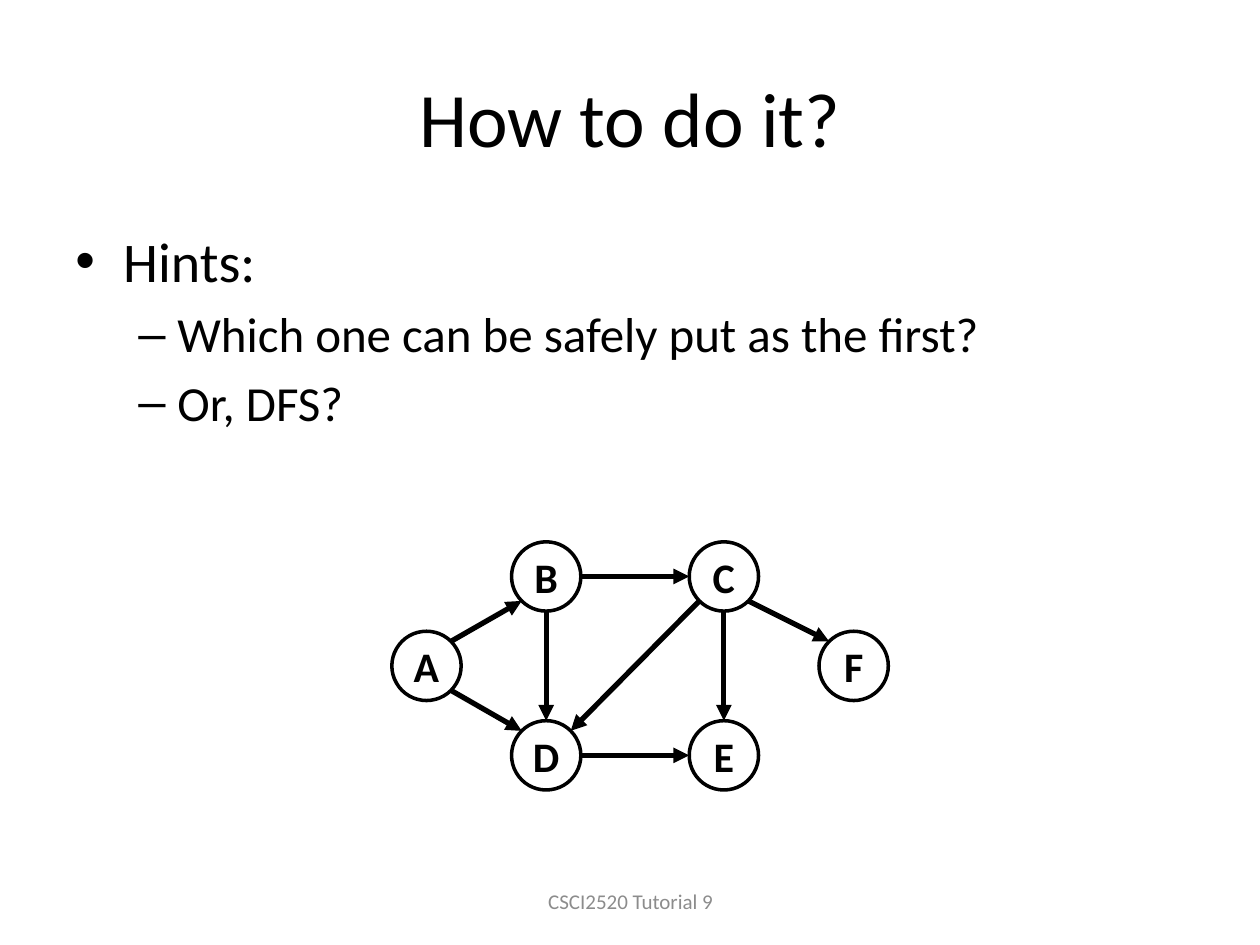
from math import cos, radians, sin

from lxml.etree import SubElement
from pptx import Presentation
from pptx.dml.color import RGBColor
from pptx.enum.shapes import MSO_CONNECTOR, MSO_SHAPE
from pptx.enum.text import MSO_ANCHOR, PP_ALIGN
from pptx.oxml.ns import qn
from pptx.util import Inches, Pt

COLORS = {"ink": "000000", "paper": "FFFFFF", "footer": "8C8C8C"}
FONT = "Calibri"
CELL = 0.1  # inches: the slide is 100 columns by 75 rows
NODE_SIZE = 5.5

TOP, MIDDLE, BOTTOM = 45.75, 52.85, 59.95
NODES = {
    "A": (33.85, MIDDLE),
    "B": (43.35, TOP),
    "D": (43.35, BOTTOM),
    "C": (57.45, TOP),
    "E": (57.45, BOTTOM),
    "F": (67.75, MIDDLE),
}
# Start node, end node, and the angle (clockwise from right) where the edge leaves
EDGES = [
    ("A", "B", -45),
    ("B", "C", 0),
    ("D", "E", 0),
    ("A", "D", 45),
    ("C", "D", 135),
    ("C", "E", 90),
    ("B", "D", 90),
    ("C", "F", 45),
]
# Text, size, left margin, hanging indent (inches), bullet
HINTS = [
    ("Hints:", 32, 0.38, 0.38, "•"),
    ("Which one can be safely put as the first?", 28, 0.81, 0.31, "–"),
    ("Or, DFS?", 28, 0.81, 0.31, "–"),
]


def cells(*counts):
    return [Inches(count * CELL) for count in counts]


def rim_point(name, angle):
    """Point on a node's circle at the given angle."""
    column, row = NODES[name]
    radius = NODE_SIZE / 2
    return (column + radius * cos(radians(angle)),
            row + radius * sin(radians(angle)))


class SlideBuilder:
    def __init__(self, slide):
        self.slide = slide

    def color(self, name):
        return RGBColor.from_string(COLORS[name])

    def style(self, paragraph, size, color="ink", bold=False):
        for run in paragraph.runs:
            run.font.name = FONT
            run.font.size = Pt(size)
            run.font.bold = bold
            run.font.color.rgb = self.color(color)

    def text_box(self, left, top, width, height):
        box = self.slide.shapes.add_textbox(*cells(left, top, width, height))
        box.text_frame.word_wrap = True
        return box.text_frame

    def centred_text(self, text, area, size, color="ink"):
        text_frame = self.text_box(*area)
        text_frame.text = text
        text_frame.vertical_anchor = MSO_ANCHOR.MIDDLE
        paragraph = text_frame.paragraphs[0]
        paragraph.alignment = PP_ALIGN.CENTER
        self.style(paragraph, size, color)

    def bullets(self, items, area):
        text_frame = self.text_box(*area)
        for index, (text, size, margin, hanging, bullet) in enumerate(items):
            if index == 0:
                paragraph = text_frame.paragraphs[0]
            else:
                paragraph = text_frame.add_paragraph()
                paragraph.space_before = Pt(0.2 * size)
            paragraph.text = text
            properties = paragraph._p.get_or_add_pPr()
            properties.set("marL", str(Inches(margin)))
            properties.set("indent", str(-Inches(hanging)))
            SubElement(properties, qn("a:buFont"), typeface="Arial")
            SubElement(properties, qn("a:buChar"), char=bullet)
            self.style(paragraph, size)

    def node(self, name):
        column, row = NODES[name]
        half = NODE_SIZE / 2
        circle = self.slide.shapes.add_shape(
            MSO_SHAPE.OVAL,
            *cells(column - half, row - half, NODE_SIZE, NODE_SIZE))
        circle.shadow.inherit = False
        circle.fill.solid()
        circle.fill.fore_color.rgb = self.color("paper")
        circle.line.color.rgb = self.color("ink")
        circle.line.width = Pt(2)
        text_frame = circle.text_frame
        text_frame.text = name
        text_frame.word_wrap = False
        text_frame.vertical_anchor = MSO_ANCHOR.MIDDLE
        paragraph = text_frame.paragraphs[0]
        paragraph.alignment = PP_ALIGN.CENTER
        self.style(paragraph, 24, bold=True)

    def edge(self, start, end, angle):
        arrow = self.slide.shapes.add_connector(
            MSO_CONNECTOR.STRAIGHT,
            *cells(*rim_point(start, angle), *rim_point(end, angle + 180)))
        arrow.line.color.rgb = self.color("ink")
        arrow.line.width = Pt(3)
        SubElement(arrow.line._get_or_add_ln(), qn("a:tailEnd"), type="triangle")
        SubElement(arrow._element.spPr, qn("a:effectLst"))


def main():
    presentation = Presentation()
    presentation.slide_width, presentation.slide_height = cells(100, 75)
    slide = presentation.slides.add_slide(presentation.slide_layouts[6])
    builder = SlideBuilder(slide)

    builder.centred_text("How to do it?", (5, 3, 90, 12.5), 44)
    builder.bullets(HINTS, (5, 17.5, 90, 49.5))
    builder.centred_text("CSCI2520 Tutorial 9", (34.2, 69.5, 31.7, 4), 12, "footer")
    for name in NODES:
        builder.node(name)
    for start, end, angle in EDGES:
        builder.edge(start, end, angle)

    presentation.save("out.pptx")


if __name__ == "__main__":
    main()
